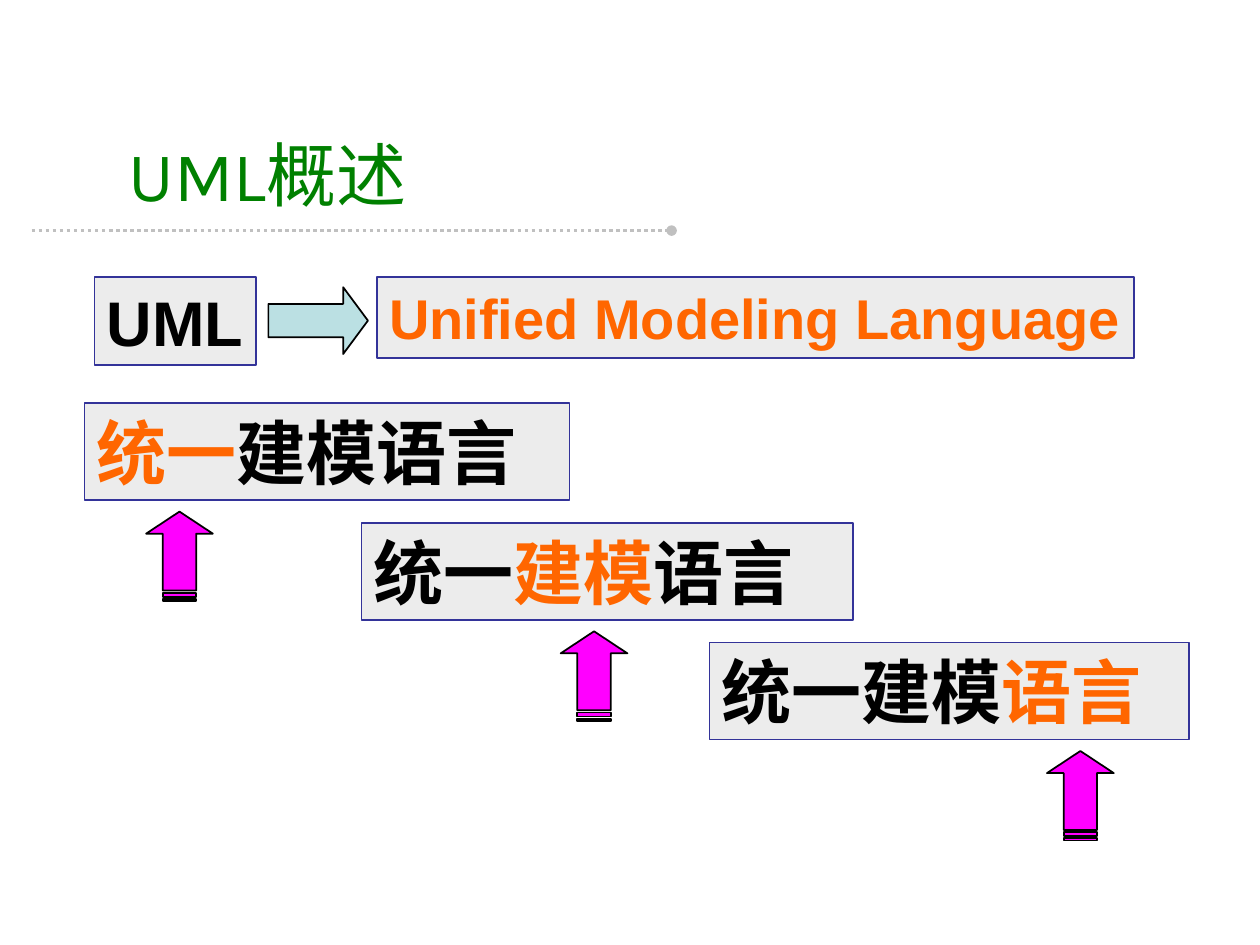
import pptx
import pptx.dml.color
import pptx.enum.dml
import pptx.enum.shapes
import pptx.enum.text
import pptx.oxml
import pptx.oxml.ns
import pptx.util

Inches = pptx.util.Inches
Pt = pptx.util.Pt
SHAPE = pptx.enum.shapes.MSO_SHAPE
ALIGN = pptx.enum.text.PP_ALIGN
ANCHOR = pptx.enum.text.MSO_ANCHOR

BLACK = "000000"
ORANGE = "FF6600"
GREEN = "008000"
GRAY = "C0C0C0"
PALE = "ECECEC"
NAVY = "333399"
AQUA = "BBE0E3"
PINK = "FF00FF"


def color(code):
    return pptx.dml.color.RGBColor.from_string(code)


def style(run, font, size, code, bold=False):
    run.font.name = font
    run.font.size = Pt(size)
    run.font.bold = bold
    run.font.color.rgb = color(code)


def add_title(slide, text):
    title = slide.shapes.title
    title.left, title.top = Inches(0.92), Inches(1)
    title.width, title.height = Inches(6.92), Inches(0.75)
    frame = title.text_frame
    frame.text = text
    frame.vertical_anchor = ANCHOR.MIDDLE
    para = frame.paragraphs[0]
    para.alignment = ALIGN.LEFT
    style(para.runs[0], "Karla", 40, GREEN)


def add_rule(slide):
    """Draw the dotted line under the title, with a round end."""
    rule = slide.shapes.add_connector(
        pptx.enum.shapes.MSO_CONNECTOR.STRAIGHT,
        Inches(0.25), Inches(1.83), Inches(5.33), Inches(1.83))
    rule.line.color.rgb = color(GRAY)
    rule.line.width = Pt(2)
    rule.line.dash_style = pptx.enum.dml.MSO_LINE.ROUND_DOT
    for parent, tag in ((rule.line._get_or_add_ln(), "a:tailEnd"),
                        (rule._element.spPr, "a:effectLst")):
        node = pptx.oxml.parse_xml(
            f"<{tag} {pptx.oxml.ns.nsdecls('a')}/>")
        if tag == "a:tailEnd":
            node.set("type", "oval")
        parent.append(node)


def add_shape(slide, kind, box, fill, line):
    shape = slide.shapes.add_shape(kind, *(Inches(v) for v in box))
    shape.shadow.inherit = False
    shape.fill.solid()
    shape.fill.fore_color.rgb = color(fill)
    shape.line.color.rgb = color(line)
    shape.line.width = Pt(1)
    return shape


def add_label(slide, box, size, parts, wrap):
    """Add a framed label from (text, colour) parts."""
    shape = add_shape(slide, SHAPE.RECTANGLE, box, PALE, NAVY)
    frame = shape.text_frame
    frame.word_wrap = wrap
    frame.auto_size = pptx.enum.text.MSO_AUTO_SIZE.SHAPE_TO_FIT_TEXT
    frame.vertical_anchor = ANCHOR.TOP
    para = frame.paragraphs[0]
    para.alignment = ALIGN.LEFT
    for text, code in parts:
        run = para.add_run()
        run.text = text
        style(run, "Arial", size, code, True)


def add_arrow(slide, kind, box, fill, head, turn=0):
    arrow = add_shape(slide, kind, box, fill, BLACK)
    arrow.adjustments[0] = 0.5
    arrow.adjustments[1] = head
    arrow.rotation = turn


def main():
    deck = pptx.Presentation()
    deck.slide_width, deck.slide_height = Inches(10), Inches(7.5)
    slide = deck.slides.add_slide(deck.slide_layouts[5])
    add_rule(slide)
    add_title(slide, "UML概述")

    add_label(slide, (0.75, 2.2, 1.28, 0.7), 36, [("UML", BLACK)], False)
    add_arrow(slide, SHAPE.RIGHT_ARROW, (2.13, 2.28, 0.79, 0.53), AQUA, 0.37)
    add_label(slide, (2.99, 2.2, 6.01, 0.64), 32,
              [("Unified Modeling Language", ORANGE)], False)

    steps = [
        (0.67, 3.85, 1.07, [("统一", ORANGE), ("建模语言", BLACK)]),
        (2.87, 3.9, 4.36,
         [("统一", BLACK), ("建模", ORANGE), ("语言", BLACK)]),
        (5.63, 3.81, 8.22, [("统一建模", BLACK), ("语言", ORANGE)]),
    ]
    for row, (left, width, tip, parts) in enumerate(steps):
        top = 3.2 + 0.95 * row
        add_label(slide, (left, top, width, 0.77), 40, parts, True)
        add_arrow(slide, SHAPE.STRIPED_RIGHT_ARROW,
                  (tip, top + 0.95, 0.71, 0.53), PINK, 0.33, 270)

    deck.save("out.pptx")


if __name__ == "__main__":
    main()
